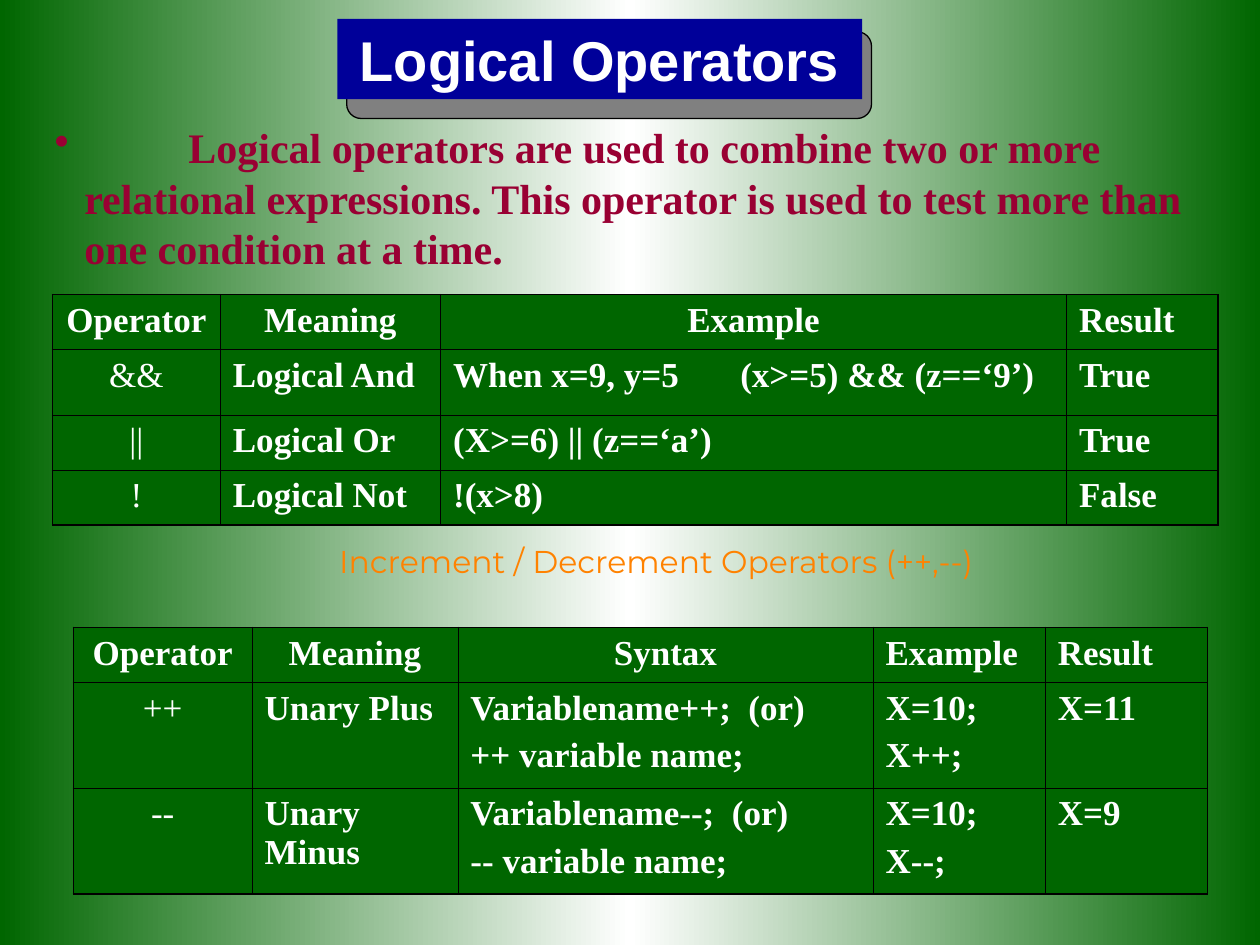
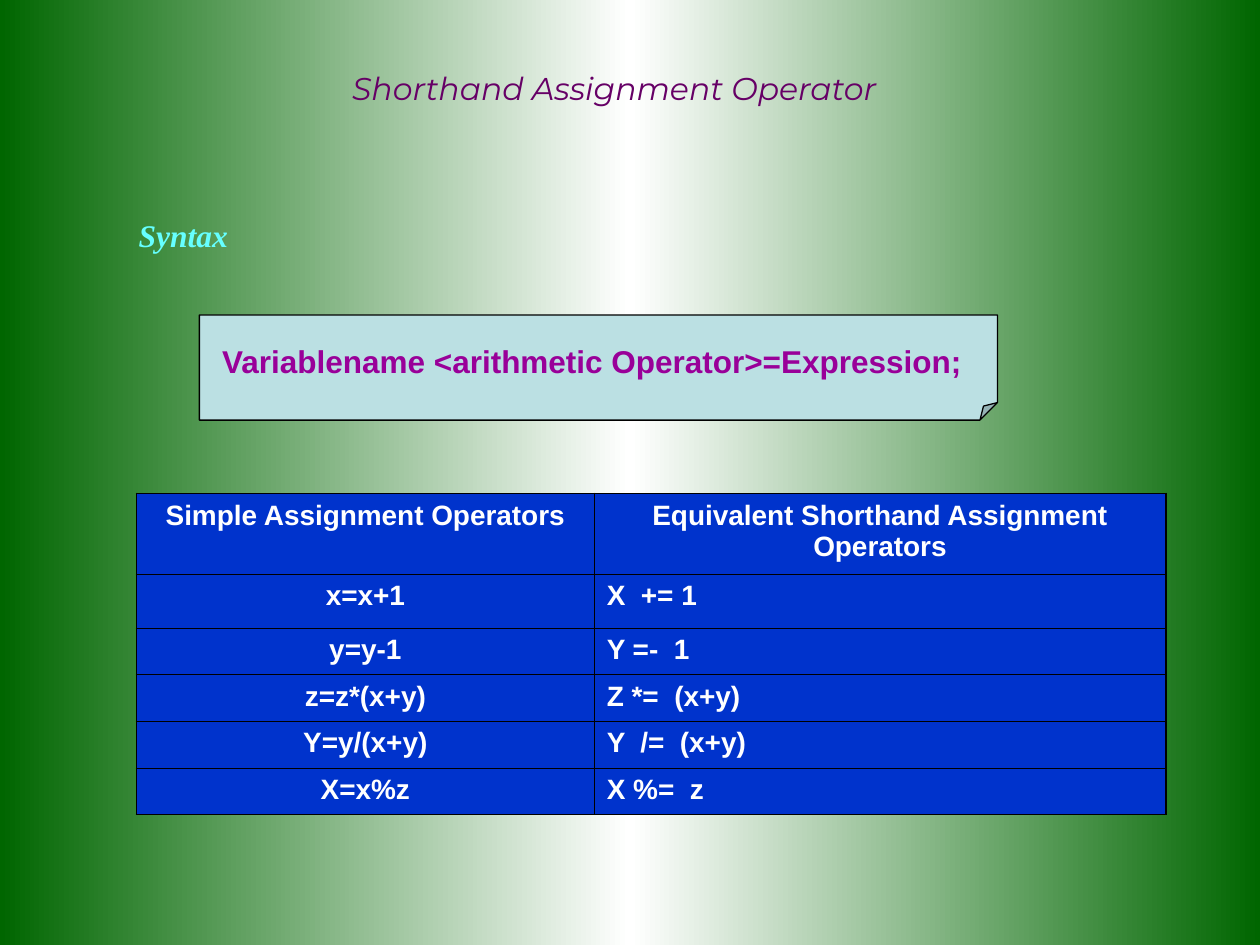
"""Two slides on logical, increment and shorthand assignment operators in C."""
from copy import deepcopy

from lxml import etree
from pptx import Presentation
from pptx.dml.color import RGBColor
from pptx.enum import shapes, text
from pptx.oxml import ns
from pptx.util import Cm, Pt

HUES = {"green": "006600", "white": "FFFFFF", "black": "000000", "grey": "808080",
        "navy": "000099", "blue": "0033CC", "wine": "990033", "orange": "FF8200",
        "plum": "660066", "cyan": "66FFFF", "pale": "BBE0E3", "purple": "990099"}
SERIF, SANS, THIN = "Times New Roman", "Arial", "Montserrat"
BACK = [(0, "green"), (0.5, "white"), (1, "green")]
EDGE, RULE = 1.08, 0.45

INTRO = ("\tLogical operators are used to combine two or more relational expressions. "
         "This operator is used to test more than one condition at a time.")

LOGIC = {
    "at": (1.06, 5.94), "cols": [3.38, 4.44, 12.62, 3.05], "rows": [1.11, 1.32, 1.11, 1.11],
    "hue": "green", "font": (SERIF, 20), "gap": 5, "mid": 3, "plain": True, "tab": 5.79,
    "data": [
        ("Operator", "Meaning", "Example", "Result"),
        ("&&", "Logical And", "When x=9, y=5\t(x>=5) && (z==‘9’)", "True"),
        ("||", "Logical Or", "(X>=6) || (z==‘a’)", "True"),
        ("!", "Logical Not", "!(x>8)", "False"),
    ]}
STEP = {
    "at": (1.48, 12.65), "cols": [3.6, 4.15, 8.37, 3.47, 3.27], "rows": [1.11, 2.13, 2.13],
    "hue": "green", "font": (SERIF, 20), "gap": 5, "mid": 3, "plain": True,
    "data": [
        ("Operator", "Meaning", "Syntax", "Example", "Result"),
        ("++", "Unary Plus", "Variablename++;  (or)\n++ variable name;", "X=10;\nX++;", "X=11"),
        ("--", "Unary Minus", "Variablename--;  (or)\n-- variable name;", "X=10;\nX--;", "X=9"),
    ]}
SHORT = {
    "at": (2.75, 9.95), "cols": [9.23, 11.52], "rows": [1.62, 1.09] + [0.94] * 4,
    "hue": "blue", "font": (SANS, 16), "gap": 4, "mid": 2, "plain": False,
    "data": [
        ("Simple Assignment Operators", "Equivalent Shorthand Assignment Operators"),
        ("x=x+1", "X  += 1"),
        ("y=y-1", "Y =-  1"),
        ("z=z*(x+y)", "Z *=  (x+y)"),
        ("Y=y/(x+y)", "Y  /=  (x+y)"),
        ("X=x%z", "X %=  z"),
    ]}


def rgb(hue):
    return RGBColor.from_string(HUES[hue])


def paint(shape, hue):
    shape.fill.solid()
    shape.fill.fore_color.rgb = rgb(hue)


def node(parent, tag, **attrs):
    return etree.SubElement(parent, ns.qn("a:" + tag), attrs)


def add_tab(para, pos):
    node(node(para._p.get_or_add_pPr(), "tabLst"), "tab", pos=str(Cm(pos)), algn="l")


def style(para, face, size, hue, bold=False, slant=False, mid=False):
    font = para.font
    font.name, font.size, font.bold, font.italic = face, Pt(size), bold, slant
    font.color.rgb = rgb(hue)
    para.alignment = text.PP_ALIGN.CENTER if mid else text.PP_ALIGN.LEFT


def place(shape, box):
    shape.left, shape.top, shape.width, shape.height = map(Cm, box)


def write(shape, words):
    frame = shape.text_frame
    frame.word_wrap = True
    frame.auto_size = text.MSO_AUTO_SIZE.NONE
    frame.vertical_anchor = text.MSO_ANCHOR.TOP
    frame.text = words
    return frame.paragraphs[0]


def add_title(slide, words, box, *look, **more):
    place(slide.shapes.title, box)
    style(write(slide.shapes.title, words), *look, mid=True, **more)


def add_text(slide, words, box, *look, **more):
    style(write(slide.shapes.add_textbox(*map(Cm, box)), words), *look, **more)


def add_form(slide, kind, box, hue):
    form = slide.shapes.add_shape(kind, *map(Cm, box))
    form.shadow.inherit = False
    paint(form, hue)
    form.line.color.rgb, form.line.width = rgb("black"), Pt(0.75)
    return form


def add_edges(cell, outer):
    for side in "LRTB":
        width = EDGE if side in outer else RULE
        line = node(cell._tc.get_or_add_tcPr(), "ln" + side, w=str(Pt(width)))
        node(node(line, "solidFill"), "srgbClr", val=HUES["black"])


def add_grid(slide, spec):
    cols, rows = spec["cols"], spec["rows"]
    box = (*spec["at"], sum(cols), sum(rows))
    table = slide.shapes.add_table(len(rows), len(cols), *map(Cm, box)).table
    for col, width in zip(table.columns, cols):
        col.width = Cm(width)
    for row, height in zip(table.rows, rows):
        row.height = Cm(height)
    for r, line in enumerate(spec["data"]):
        for c, words in enumerate(line):
            cell = table.cell(r, c)
            tests = {"L": c == 0, "R": c == len(cols) - 1, "T": r == 0, "B": r == len(rows) - 1}
            add_edges(cell, [side for side, hit in tests.items() if hit])
            paint(cell, spec["hue"])
            cell.text = words
            bold = not (spec["plain"] and r > 0 and c == 0)
            mid = c < spec["mid"] if r == 0 else c == 0
            for i, para in enumerate(cell.text_frame.paragraphs):
                if i:
                    para.space_before = Pt(spec["gap"])
                if "\t" in words:
                    add_tab(para, spec["tab"])
                style(para, *spec["font"], "white", bold=bold, mid=mid)


def add_intro(slide):
    para = write(slide.shapes.add_textbox(*map(Cm, (0.85, 2.33, 23.92, 3.3))), INTRO)
    props = para._p.get_or_add_pPr()
    props.set("marL", str(Cm(0.6)))
    props.set("indent", str(-Cm(0.6)))
    node(node(props, "buClr"), "srgbClr", val=HUES["wine"])
    node(props, "buChar", char="•")
    add_tab(para, 2.7)
    style(para, SERIF, 24, "wine", bold=True)


def set_back(master):
    fill = master.background.fill
    fill.gradient()
    fill.gradient_angle = 0
    first = fill.gradient_stops[0]._gs
    first.addnext(deepcopy(first))
    for stop, (pos, hue) in zip(fill.gradient_stops, BACK):
        stop.position, stop.color.rgb = pos, rgb(hue)


def logic_slide(slide):
    kinds = shapes.MSO_SHAPE
    shade = add_form(slide, kinds.FLOWCHART_ALTERNATE_PROCESS, (6.99, 0.64, 10.58, 1.75), "grey")
    slide.shapes.title._element.addprevious(shade._element)
    add_title(slide, "Logical Operators", (6.8, 0.38, 10.58, 1.62), SANS, 32, "white", bold=True)
    paint(slide.shapes.title, "navy")
    add_grid(slide, LOGIC)
    add_intro(slide)
    add_text(slide, "Increment / Decrement Operators (++,--)", (2.75, 10.8, 20.96, 1.45),
             THIN, 18, "orange", mid=True)
    add_grid(slide, STEP)


def short_slide(slide):
    add_title(slide, "Shorthand Assignment Operator", (1.27, 1.27, 22.23, 2.12),
              THIN, 18, "plum", slant=True)
    add_text(slide, "Syntax", (1.06, 4.23, 5.27, 1.06), SERIF, 18, "cyan",
             bold=True, slant=True, mid=True)
    add_form(slide, shapes.MSO_SHAPE.FOLDED_CORNER, (4.02, 6.35, 16.09, 2.12), "pale")
    add_text(slide, "Variablename <arithmetic Operator>=Expression;", (4.23, 6.77, 15.88, 1.02),
             SANS, 18, "purple", bold=True)
    add_grid(slide, SHORT)


def main():
    deck = Presentation()
    deck.slide_width, deck.slide_height = Cm(25.4), Cm(19.05)
    set_back(deck.slide_master)
    for build in (logic_slide, short_slide):
        build(deck.slides.add_slide(deck.slide_layouts[5]))
    deck.save("out.pptx")


if __name__ == "__main__":
    main()
